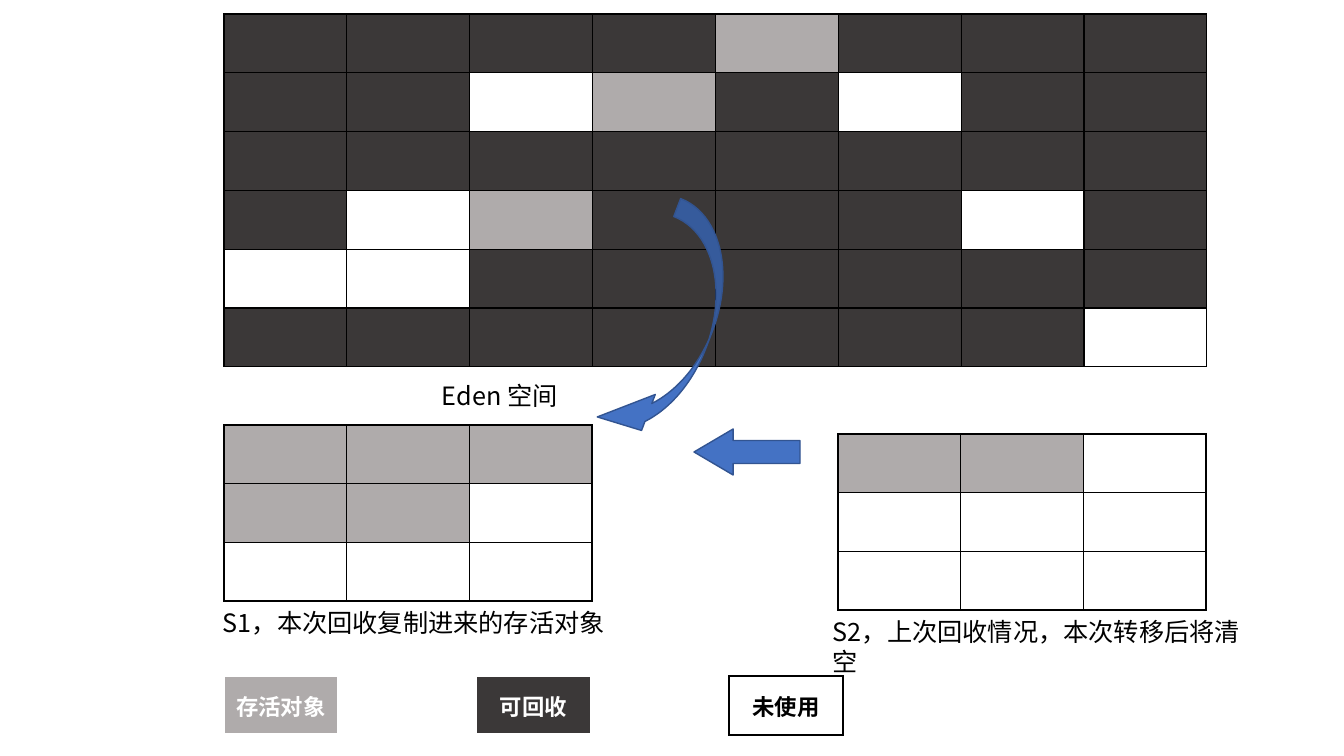
import lxml.etree
import pptx
import pptx.dml.color
import pptx.enum.shapes
import pptx.enum.text
import pptx.oxml.ns
import pptx.util

PX = 914400 / 100.8
FONT = "Noto Sans CJK SC"
BLACK, WHITE = "000000", "FFFFFF"
ALIVE, GARBAGE, UNUSED = "AFABAB", "3B3838", WHITE
ARROW_FILL, ARROW_LINE = "4472C4", "325491"
STATES = {"a": ALIVE, "g": GARBAGE, "u": UNUSED}

# One letter per memory block: a = alive, g = garbage, u = unused
EDEN = ["ggggaggg", "gguagugg", "gggggggg", "guagggug", "uugggggg", "gggggggu"]
SURVIVOR_1 = ["aaa", "aau", "uuu"]
SURVIVOR_2 = ["aau", "uuu", "uuu"]


def px(length):
    return pptx.util.Emu(round(length * PX))


def color(hex_code):
    return pptx.dml.color.RGBColor.from_string(hex_code)


def add_element(parent, tag, **attributes):
    element = lxml.etree.SubElement(parent, pptx.oxml.ns.qn(tag))
    for name, value in attributes.items():
        element.set(name, str(value))
    return element


def set_font(paragraph, size, hex_code, bold=False):
    font = paragraph.font
    font.size = pptx.util.Pt(size)
    font.bold = bold
    font.name = FONT
    font.color.rgb = color(hex_code)
    for run in paragraph.runs:
        add_element(run.font._element, "a:ea", typeface=FONT)


def format_cell(cell, fill, border, bottom_width):
    properties = cell._tc.get_or_add_tcPr()
    for side in "LRTB":
        width = bottom_width if side == "B" else 1
        line = add_element(properties, f"a:ln{side}", w=pptx.util.Pt(width))
        add_element(add_element(line, "a:solidFill"), "a:srgbClr", val=border)
    cell.fill.solid()
    cell.fill.fore_color.rgb = color(fill)


def add_blocks(slide, box, pattern, border=BLACK, bottom_width=1):
    """Table filling the box, one coloured cell per letter of the pattern."""
    rows, columns = len(pattern), len(pattern[0])
    left, top, width, height = map(px, box)
    table = slide.shapes.add_table(rows, columns, left, top, width, height).table
    table.first_row = table.horz_banding = False
    for row, letters in enumerate(pattern):
        for column, letter in enumerate(letters):
            format_cell(table.cell(row, column), STATES[letter], border, bottom_width)
    return table


def add_caption(slide, box, text):
    frame = slide.shapes.add_textbox(*map(px, box)).text_frame
    frame.word_wrap = True
    frame.auto_size = pptx.enum.text.MSO_AUTO_SIZE.SHAPE_TO_FIT_TEXT
    frame.text = text
    set_font(frame.paragraphs[0], 18, BLACK)


def add_arrow(slide, box, kind, adjustments, rotation=0):
    arrow = slide.shapes.add_shape(kind, *map(px, box))
    arrow.shadow.inherit = False
    arrow.rotation = rotation
    for index, value in enumerate(adjustments):
        arrow.adjustments[index] = value
    arrow.fill.solid()
    arrow.fill.fore_color.rgb = color(ARROW_FILL)
    arrow.line.color.rgb = color(ARROW_LINE)
    arrow.line.width = pptx.util.Pt(1)


def add_legend(slide, box):
    left, top, width, height = box
    entries = [("存活对象", "a", WHITE, WHITE, 3),
               ("可回收", "g", WHITE, WHITE, 3),
               ("未使用", "u", BLACK, BLACK, 1)]
    key_width = 114
    step = (width - key_width) / (len(entries) - 1)
    for index, (label, state, text_color, border, bottom_width) in enumerate(entries):
        key_box = (left + index * step, top, key_width, height)
        cell = add_blocks(slide, key_box, [state], border, bottom_width).cell(0, 0)
        cell.text = label
        cell.vertical_anchor = pptx.enum.text.MSO_ANCHOR.MIDDLE
        paragraph = cell.text_frame.paragraphs[0]
        paragraph.alignment = pptx.enum.text.PP_ALIGN.CENTER
        set_font(paragraph, 16, text_color, bold=True)


def main():
    presentation = pptx.Presentation()
    presentation.slide_width = px(1344)
    presentation.slide_height = px(756)
    slide = presentation.slides.add_slide(presentation.slide_layouts[6])

    # Memory spaces
    add_blocks(slide, (224, 14, 983, 353), EDEN)
    add_blocks(slide, (224, 425, 368, 176), SURVIVOR_1)
    add_blocks(slide, (838, 434, 368, 176), SURVIVOR_2)

    # Legend
    add_legend(slide, (224, 676, 619, 59))

    # Captions
    add_caption(slide, (432, 375, 368, 40), "Eden 空间")
    add_caption(slide, (213, 602, 504, 40), "S1，本次回收复制进来的存活对象")
    add_caption(slide, (823, 611, 452, 40), "S2，上次回收情况，本次转移后将清空")

    # Copying into S1
    shapes = pptx.enum.shapes.MSO_SHAPE
    add_arrow(slide, (633, 204, 77, 253), shapes.CURVED_LEFT_ARROW, (0.25, 0.5, 0.6), 20.9)
    add_arrow(slide, (694, 429, 106, 46), shapes.LEFT_ARROW, (0.5, 0.85))

    presentation.save("out.pptx")


if __name__ == "__main__":
    main()
